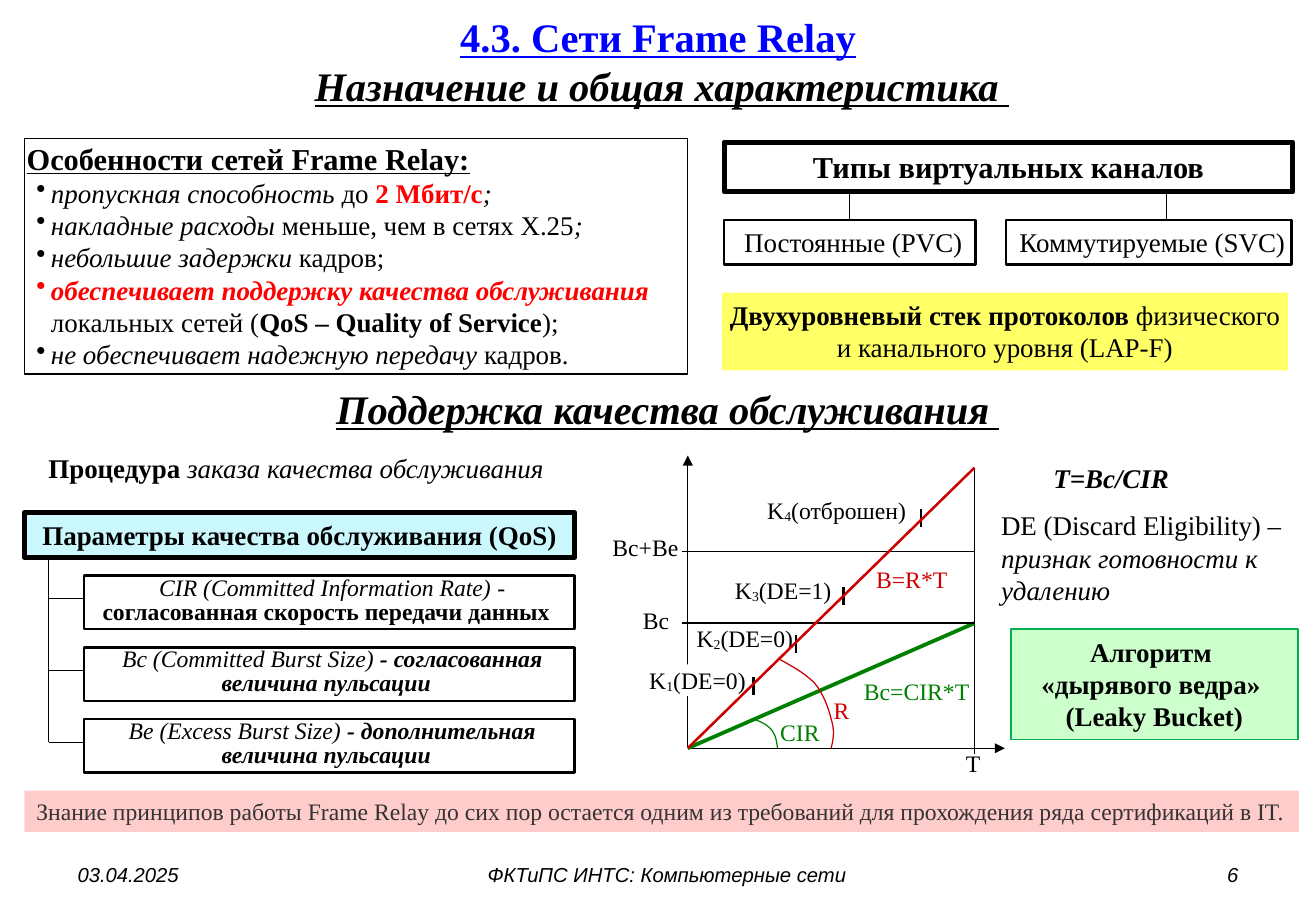
"""Builds the slide on Frame Relay networks and quality of service."""
from lxml import etree
from pptx import Presentation
from pptx.dml.color import RGBColor
from pptx.enum import shapes, text
from pptx.oxml import ns
from pptx.util import Inches, Pt

BLACK = RGBColor(0, 0, 0)
WHITE = RGBColor(255, 255, 255)
BLUE = RGBColor(0, 0, 255)
BRIGHT_RED = RGBColor(255, 0, 0)
RED = RGBColor(0xCC, 0, 0)
GREEN = RGBColor(0, 0x80, 0)
GRAY = RGBColor(0x33, 0x33, 0x33)
YELLOW = RGBColor(0xFF, 0xFF, 0x66)
CYAN = RGBColor(0xCB, 0xF8, 0xFD)
MINT = RGBColor(0xCC, 0xFF, 0xCC)
MINT_EDGE = RGBColor(0, 0xB0, 0x50)
PINK = RGBColor(0xFF, 0xCC, 0xCC)
LEFT, CENTER, RIGHT = text.PP_ALIGN.LEFT, text.PP_ALIGN.CENTER, text.PP_ALIGN.RIGHT
TIGHT = (0.02, 0.01)
NARROW = (0.02, 0.05)

deck = Presentation()
deck.slide_width, deck.slide_height = Inches(10.83), Inches(7.5)
page = deck.slides.add_slide(deck.slide_layouts[6])


def add_text(place, paragraphs, size=16, color=BLACK, align=LEFT, font="Times New Roman",
             fill=None, edge=None, weight=0.75, inset=(0.1, 0.05), spacing=None,
             anchor=text.MSO_ANCHOR.TOP):
    """Each paragraph lists (words, style letters b/i/u/s, optional colour) runs."""
    place = [Inches(length) for length in place]
    if fill is None and edge is None:
        box = page.shapes.add_textbox(*place)
    else:
        box = page.shapes.add_shape(shapes.MSO_SHAPE.RECTANGLE, *place)
        box.shadow.inherit = False
        if fill is None:
            box.fill.background()
        else:
            box.fill.solid()
            box.fill.fore_color.rgb = fill
        if edge is None:
            box.line.fill.background()
        else:
            box.line.color.rgb = edge
            box.line.width = Pt(weight)
    frame = box.text_frame
    frame.word_wrap = True
    frame.vertical_anchor = anchor
    frame.margin_left = frame.margin_right = Inches(inset[0])
    frame.margin_top = frame.margin_bottom = Inches(inset[1])
    for number, runs in enumerate(paragraphs):
        para = frame.add_paragraph() if number else frame.paragraphs[0]
        para.alignment = align
        if spacing:
            para.line_spacing = spacing
        for words, style, *tint in runs:
            span = para.add_run()
            span.text = words
            span.font.name = font
            span.font.size = Pt(size)
            span.font.bold = "b" in style
            span.font.italic = "i" in style
            span.font.underline = "u" in style
            span.font.color.rgb = tint[0] if tint else color
            if "s" in style:
                span._r.get_or_add_rPr().set("baseline", "-8000")
    return box


def add_line(x1, y1, x2, y2, color=BLACK, weight=0.75, arrow=False):
    line = page.shapes.add_connector(shapes.MSO_CONNECTOR.STRAIGHT, *map(Inches, (x1, y1, x2, y2)))
    line.line.color.rgb = color
    line.line.width = Pt(weight)
    if arrow:
        etree.SubElement(line.line._get_or_add_ln(), ns.qn("a:tailEnd"), type="triangle")
    etree.SubElement(line._element.spPr, ns.qn("a:effectLst"))


# Headings
add_text((0.54, 0.01, 9.75, 0.58), [[("4.3. Сети Frame Relay", "bu")]], size=24, color=BLUE,
         align=CENTER, anchor=text.MSO_ANCHOR.MIDDLE)
for x, y, heading in ((0.3, 0.45, "Назначение и общая характеристика "),
                      (0.35, 3.11, "Поддержка качества обслуживания ")):
    add_text((x, y, 10.29, 0.5), [[(heading, "biu")]], size=24, align=CENTER)

# Features
features = add_text((0.2, 1.14, 5.46, 1.94), [
    [("Особенности сетей Frame Relay:", "bu")],
    [("пропускная способность ", "i"), ("до ", ""), ("2 Мбит/с", "b", BRIGHT_RED), (";", "i")],
    [("накладные расходы ", "i"), ("меньше, чем в сетях Х.25", ""), (";", "i")],
    [("небольшие задержки", "i"), (" кадров;", "")],
    [("обеспечивает поддержку качества обслуживания ", "bi", BRIGHT_RED),
     ("локальных сетей (", ""), ("QoS – Quality of Service", "b"), (");", "")],
    [("не обеспечивает надежную передачу ", "i"), ("кадров.", "")],
], edge=BLACK, inset=TIGHT)
heading, *bullets = features.text_frame.paragraphs
heading.runs[0].font.size = Pt(18)
for para in bullets:
    properties = para._p.get_or_add_pPr()
    properties.set("marL", str(Inches(0.2)))
    properties.set("indent", str(Inches(-0.12)))
    etree.SubElement(properties, ns.qn("a:buChar"), char="•")

# Virtual channel types
add_text((5.96, 1.17, 4.68, 0.41), [[("Типы виртуальных каналов", "b")]], size=18,
         align=CENTER, edge=BLACK, weight=3)
for x, width, middle, channel, inset in (
        (5.96, 2.07, 6.99, " Постоянные (PVC)", (0.1, 0.05)),
        (8.28, 2.35, 9.6, " Коммутируемые (SVC)", NARROW)):
    add_text((x, 1.81, width, 0.37), [[(channel, "")]], align=CENTER, edge=BLACK,
             weight=1.5, inset=inset)
    add_line(middle, 1.81, middle, 1.56)
add_text((5.94, 2.41, 4.66, 0.64), [[("Двухуровневый стек протоколов", "b"),
         (" физического и канального уровня (LAP-F)", "")]],
         align=CENTER, fill=YELLOW, inset=NARROW)

# Quality of service parameters
add_text((0.3, 3.67, 4.43, 0.37), [[("Процедура ", "b"), ("заказа качества обслуживания", "i")]])
add_line(0.4, 6.11, 0.4, 4.4)
parameters = [
    [(" CIR (Committed Information Rate)", "i"), (" - ", ""),
     ("согласованная скорость передачи данных ", "b")],
    [(" Bс (Committed Burst Size)", "i"), (" - согласованная величина пульсации ", "bi")],
    [(" Be (Excess Burst Size)", "i"), (" - дополнительная величина пульсации ", "bi")],
]
for row, parameter in enumerate(parameters):
    top = 4.74 + 0.59 * row
    add_text((0.69, top, 4.04, 0.44), [parameter], size=14, align=CENTER, edge=BLACK,
             weight=1.5, inset=TIGHT, spacing=0.85)
    add_line(0.4, top + 0.19, 0.69, top + 0.19)
add_text((0.2, 4.22, 4.53, 0.37), [[("Параметры качества обслуживания (QoS)", "b")]],
         align=CENTER, fill=CYAN, edge=BLACK, weight=3, inset=NARROW)

# Burst diagram
origin_x, origin_y, end_x = 5.66, 6.16, 8.02
add_line(origin_x, origin_y, origin_x, 3.75, arrow=True)
add_line(origin_x, origin_y, 8.27, origin_y, arrow=True)
add_line(end_x, 6.21, end_x, 3.85)
add_line(origin_x, origin_y, end_x, 5.13, color=GREEN, weight=2.25)
for level in (5.13, 4.54):
    add_line(5.61, level, end_x, level)

arcs = (
    (GREEN, [(6.2, 5.92), (6.26, 5.94), (6.32, 5.97), (6.35, 6.01),
             (6.39, 6.06), (6.39, 6.11), (6.4, 6.16)]),
    (RED, [(6.4, 5.42), (6.51, 5.48), (6.62, 5.54), (6.7, 5.62), (6.77, 5.7),
           (6.82, 5.83), (6.84, 5.92), (6.87, 6.01), (6.86, 6.08), (6.84, 6.16)]),
)
for color, knots in arcs:
    outline = page.shapes.build_freeform(*map(Inches, knots[0]))
    points = []
    for start in range(0, len(knots) - 1, 3):
        for step in range(1, 9):
            t = step / 8
            weights = ((1 - t) ** 3, 3 * t * (1 - t) ** 2, 3 * t * t * (1 - t), t ** 3)
            points.append([Inches(sum(w * knot[axis] for w, knot in
                                      zip(weights, knots[start:start + 4]))) for axis in (0, 1)])
    outline.add_line_segments(points, close=False)
    arc = outline.convert_to_shape()
    arc.shadow.inherit = False
    arc.fill.background()
    arc.line.color.rgb = color
    arc.line.width = Pt(0.75)

for x, y, width, label, color in (
        (5.02, 4.38, 0.59, "Bc+Be", BLACK), (5.27, 4.98, 0.39, "Bc", BLACK),
        (7.93, 6.16, 0.2, "Т", BLACK), (6.4, 5.9, 0.39, "CIR", GREEN),
        (6.84, 5.72, 0.39, "R", RED), (7.09, 5.56, 0.93, "Bc=CIR*T", GREEN),
        (7.19, 4.64, 0.84, "B=R*T", RED)):
    add_text((x, y, width, 0.26), [[(label, "")]], size=14, color=color, inset=TIGHT)

frames = (
    (5.32, 5.47, 0.84, "(DE=0)", 6.2, 5.57, WHITE),
    (5.66, 5.13, 0.94, "(DE=0)", 6.55, 5.23, None),
    (5.95, 4.73, 0.99, "(DE=1)", 6.94, 4.83, None),
    (6.19, 4.07, 1.39, "(отброшен)", 7.58, 4.19, None),
)
for number, (x, y, width, note, tick_x, tick_y, fill) in enumerate(frames, 1):
    add_text((x, y, width, 0.26), [[("K", ""), (str(number), "s"), (note, "")]], size=14,
             align=CENTER, fill=fill, inset=(0, 0.01) if fill else TIGHT)
    add_line(tick_x, tick_y, tick_x, tick_y + 0.15, weight=1.5)
add_line(origin_x, origin_y, end_x, 3.85, color=RED, weight=1.5)

# Notes beside the diagram
add_text((8.57, 3.75, 1.32, 0.37), [[("T=Bc/CIR", "bi")]])
add_text((8.14, 4.14, 2.53, 0.91), [[("DE (Discard Eligibility) – ", ""),
                                     ("признак готовности к удалению", "i")]])
add_text((8.32, 5.18, 2.36, 0.91),
         [[(row, "b")] for row in ("Алгоритм ", "«дырявого ведра» ", "(Leaky Bucket)")],
         align=CENTER, fill=MINT, edge=MINT_EDGE, weight=1)

# Bottom strip and footer
add_text((0.2, 6.51, 10.49, 0.34), [[(
    "Знание принципов работы Frame Relay до сих пор остается одним из требований "
    "для прохождения ряда сертификаций в IT.", "")]], size=14, color=GRAY, fill=PINK)
for x, width, label, align in ((0.54, 2.53, "03.04.2025", LEFT),
                               (3.35, 4.28, "ФКТиПС ИНТС: Компьютерные сети", CENTER),
                               (7.76, 2.53, "6", RIGHT)):
    add_text((x, 7.05, width, 0.3), [[(label, "i")]], size=12, font="Arial", align=align)

deck.save("out.pptx")
